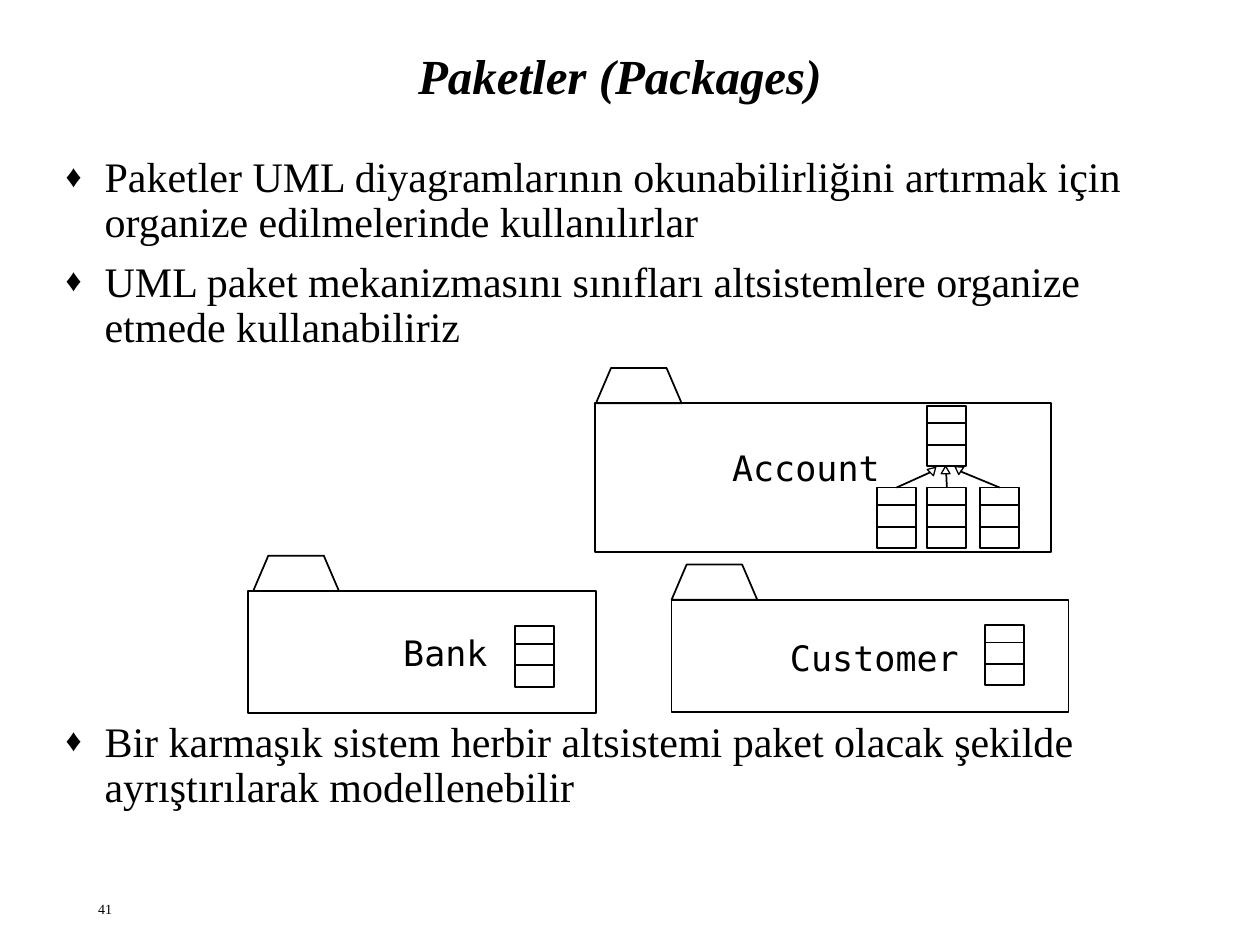
import pptx
import pptx.util
import pptx.dml.color
import pptx.enum.shapes
import pptx.enum.text
import pptx.oxml.ns
from lxml import etree

# Content
TITLE = "Paketler (Packages)"
PAGE_NUMBER = "41"
BULLETS = [  # text, space before in points (the last one clears the diagram)
    ("Paketler UML diyagramlarının okunabilirliğini artırmak için organize edilmelerinde kullanılırlar", 0),
    ("UML paket mekanizmasını sınıfları altsistemlere organize etmede kullanabiliriz", 8),
    ("Bir karmaşık sistem herbir altsistemi paket olacak şekilde ayrıştırılarak modellenebilir", 211),
]
PACKAGES = [  # name, frame (left, top, width, height), tab left, label (left, top), classes
    ("Account", (4.72, 3.2, 3.62, 1.18), 4.73, (5.81, 3.54), [(7.36, 3.22)]),
    ("Customer", (5.33, 4.76, 3.15, 0.89), 5.33, (6.27, 5.05), [(7.82, 4.96)]),
    ("Bank", (1.97, 4.69, 2.76, 0.97), 2.01, (3.2, 5.01), [(4.09, 4.97)]),
]
SUBCLASSES = [  # class left, arrow tip (left, top, rotation), line end
    (6.96, (7.37, 3.7, 45.4), (7.38, 3.75)),
    (7.36, (7.47, 3.7, 0), (7.51, 3.76)),
    (7.78, (7.57, 3.69, 304.6), (7.62, 3.74)),
]
SUBCLASS_TOP = 3.87
CLASS_SIZE = (0.31, 0.48)
CLASS_DIVIDERS = (0.14, 0.31)
TAB_SIZE, TAB_SLANT = (0.68, 0.28), 0.12
TIP_SIZE = (0.07, 0.06)
CHAR_WIDTH = 0.17
COLORS = {"ink": "000000", "paper": "FFFFFF"}
SERIF, MONO = "Times New Roman", "DejaVu Sans Mono"

Inches, Pt = pptx.util.Inches, pptx.util.Pt
SHAPE = pptx.enum.shapes.MSO_SHAPE
ALIGN, ANCHOR = pptx.enum.text.PP_ALIGN, pptx.enum.text.MSO_ANCHOR
qn = pptx.oxml.ns.qn


def color(name):
    return pptx.dml.color.RGBColor.from_string(COLORS[name])


def prepare_frame(holder, wrap=True, anchor=ANCHOR.TOP):
    frame = holder.text_frame
    frame.auto_size = pptx.enum.text.MSO_AUTO_SIZE.NONE
    frame.word_wrap = wrap
    frame.vertical_anchor = anchor
    frame.margin_left = frame.margin_right = frame.margin_top = frame.margin_bottom = 0
    return frame


def place(holder, left, top, width, height):
    holder.left, holder.top = Inches(left), Inches(top)
    holder.width, holder.height = Inches(width), Inches(height)


def write(paragraph, text, size, font, bold=False, italic=False):
    run = paragraph.add_run()
    run.text = text
    run.font.size, run.font.name = Pt(size), font
    run.font.bold, run.font.italic = bold, italic
    run.font.color.rgb = color("ink")


def add_diamond_bullet(paragraph):
    props = paragraph._p.get_or_add_pPr()
    props.set("marL", str(Inches(0.31)))
    props.set("indent", str(-Inches(0.31)))
    bullet_color = etree.SubElement(props, qn("a:buClr"))
    etree.SubElement(bullet_color, qn("a:srgbClr"), val=COLORS["ink"])
    etree.SubElement(props, qn("a:buSzPct"), val="75000")
    etree.SubElement(props, qn("a:buFont"), typeface=SERIF)
    etree.SubElement(props, qn("a:buChar"), char="♦")


def add_outline(kind, left, top, size, filled=True, weight=1):
    outline = slide.shapes.add_shape(kind, Inches(left), Inches(top), *map(Inches, size))
    outline.shadow.inherit = False
    if filled:
        outline.fill.solid()
        outline.fill.fore_color.rgb = color("paper")
    else:
        outline.fill.background()
    outline.line.color.rgb = color("ink")
    outline.line.width = Pt(weight)
    return outline


def add_line(start, end):
    line = slide.shapes.add_connector(
        pptx.enum.shapes.MSO_CONNECTOR.STRAIGHT, *map(Inches, start + end))
    line.line.color.rgb = color("ink")
    line.line.width = Pt(1)
    etree.SubElement(line._element.spPr, qn("a:effectLst"))
    return line


def add_label(text, left, top, width, height, size, font):
    label = slide.shapes.add_textbox(*map(Inches, (left, top, width, height)))
    write(prepare_frame(label, wrap=False).paragraphs[0], text, size, font)


def add_class(left, top):
    box = add_outline(SHAPE.RECTANGLE, left, top, CLASS_SIZE)
    for offset in CLASS_DIVIDERS:
        add_line((left, top + offset), (left + CLASS_SIZE[0], top + offset))
    return box


def add_package(name, frame, tab_left, label_at, classes):
    left, top, width, height = frame
    add_outline(SHAPE.RECTANGLE, left, top, (width, height), filled=False)
    add_label(name, *label_at, CHAR_WIDTH * len(name), 0.33, 20, MONO)
    tab = add_outline(SHAPE.TRAPEZOID, tab_left, top - TAB_SIZE[1], TAB_SIZE, filled=False)
    tab.adjustments[0] = TAB_SLANT / TAB_SIZE[1]
    for position in classes:
        add_class(*position)


def add_subclass(left, tip, line_end):
    box = add_class(left, SUBCLASS_TOP)
    arrow_tip = add_outline(SHAPE.ISOSCELES_TRIANGLE, *tip[:2], TIP_SIZE, weight=0.75)
    arrow_tip.rotation = tip[2]
    line = add_line((left + CLASS_SIZE[0] / 2, SUBCLASS_TOP), line_end)
    line.begin_connect(box, 0)


deck = pptx.Presentation()
deck.slide_width, deck.slide_height = Inches(10), Inches(7.5)
slide = deck.slides.add_slide(deck.slide_layouts[1])

# Title
title = slide.shapes.title
place(title, 0.46, 0.24, 8.92, 0.77)
heading = prepare_frame(title, anchor=ANCHOR.MIDDLE).paragraphs[0]
heading.alignment = ALIGN.CENTER
heading.line_spacing = 0.9
write(heading, TITLE, 28, SERIF, bold=True, italic=True)

# Bullet list
body = slide.placeholders[1]
place(body, 0.52, 1.24, 9.03, 5.25)
body_frame = prepare_frame(body)
for index, (text, space_before) in enumerate(BULLETS):
    item = body_frame.add_paragraph() if index else body_frame.paragraphs[0]
    add_diamond_bullet(item)
    item.line_spacing = 0.9
    item.space_before = Pt(space_before)
    write(item, text, 24, SERIF)

# Package diagram
for package in PACKAGES:
    add_package(*package)
for subclass in SUBCLASSES:
    add_subclass(*subclass)

# Page number
add_label(PAGE_NUMBER, 0.78, 7.15, 8.27, 0.2, 8, SERIF)

deck.save("out.pptx")
